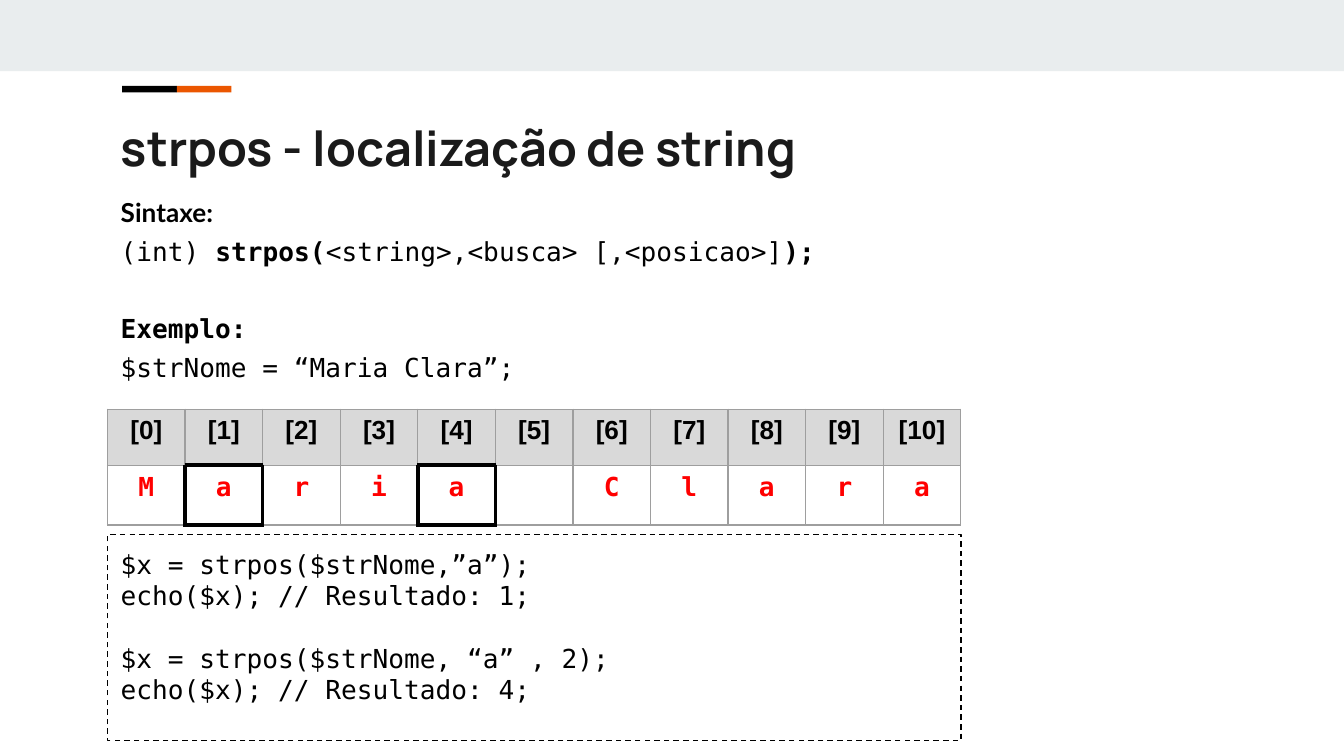
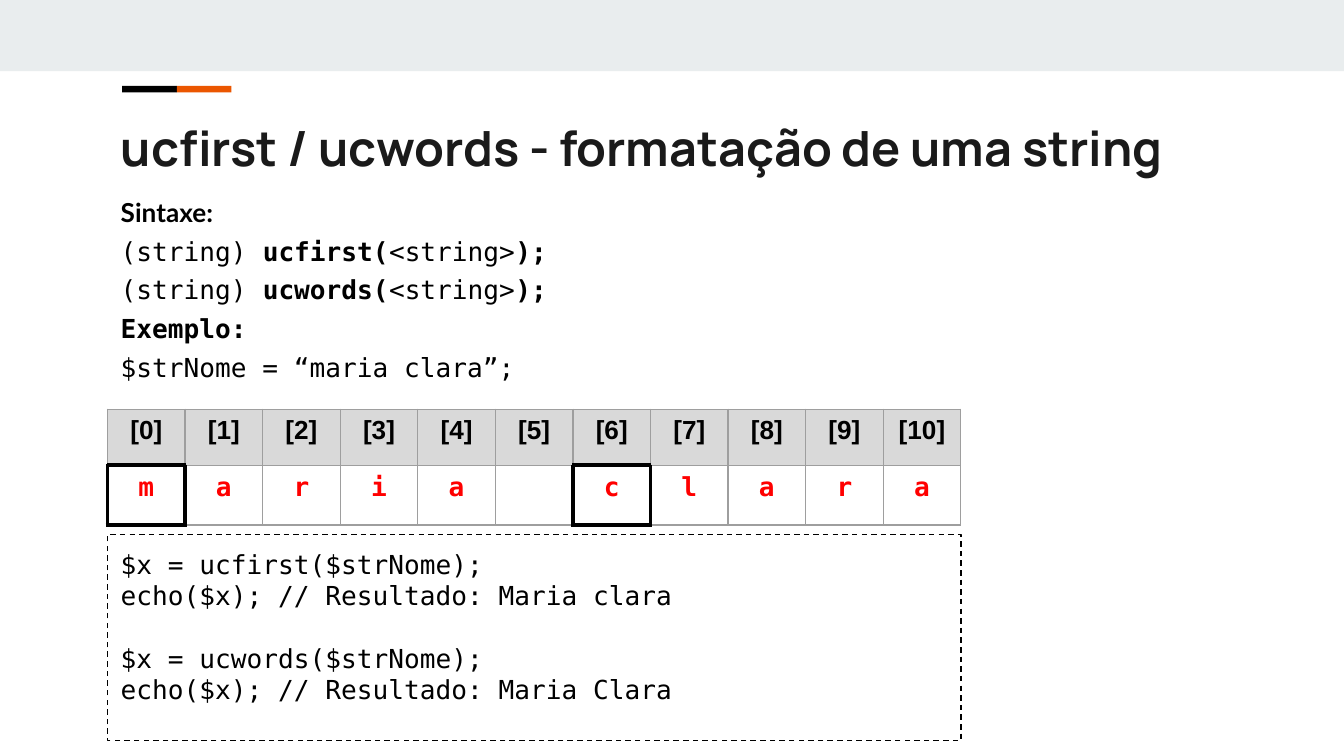
from lxml import etree
from pptx import Presentation
from pptx import util as u
from pptx.dml.color import RGBColor
from pptx.enum import dml, shapes, text
from pptx.oxml.ns import qn

Pt = u.Pt
HEAD, BODY, CODE, LABEL = "Manrope", "Lato", "DejaVu Sans Mono", "Arial"
BLACK, INK, ORANGE, BAND = "000000", "1A1A1A", "EB5600", "E9EDEE"
GREY, HEADER, RED = "9E9E9E", "D9D9D9", "FF0000"
LEFT, TEXT_W, TABLE_W = 57.6, 605.5, 457.2
SIZE, LINE, GAP = 14, 16.7, 4


def color(value):
    return RGBColor.from_string(value)


class Deck:
    def __init__(self):
        self.prs = Presentation()
        self.prs.slide_width, self.prs.slide_height = Pt(720), Pt(405)
        self.s = None

    def new_slide(self, title):
        self.s = self.prs.slides.add_slide(self.prs.slide_layouts[5])
        self.rect(0, 0, 720, 38.2, BAND)
        self.rect(65.4, 46, 29.4, 3.5, BLACK)
        self.rect(94.8, 46, 29.2, 3.5, ORANGE)
        sp = self.s.shapes.title
        sp.left, sp.top, sp.width, sp.height = Pt(LEFT), Pt(56.2), Pt(TEXT_W), Pt(42.5)
        p = self.frame(sp).paragraphs[0]
        p.alignment = text.PP_ALIGN.LEFT
        self.run(p, title, HEAD, 26, INK, True)

    def rect(self, x, y, w, h, fill=None):
        sp = self.s.shapes.add_shape(
            shapes.MSO_SHAPE.RECTANGLE, Pt(x), Pt(y), Pt(w), Pt(h))
        sp.shadow.inherit = False
        if fill:
            sp.fill.solid()
            sp.fill.fore_color.rgb = color(fill)
        else:
            sp.fill.background()
        sp.line.fill.background()
        return sp

    def frame(self, sp):
        tf = sp.text_frame
        tf.word_wrap = True
        tf.auto_size = text.MSO_AUTO_SIZE.NONE
        tf.vertical_anchor = text.MSO_ANCHOR.TOP
        tf.margin_left = tf.margin_right = tf.margin_top = tf.margin_bottom = Pt(7.2)
        return tf

    def run(self, p, words, font=CODE, size=SIZE, ink=BLACK, bold=False):
        r = p.add_run()
        r.text = words
        r.font.name, r.font.size, r.font.bold = font, Pt(size), bold
        r.font.color.rgb = color(ink)

    def paragraphs(self, tf, lines, gap=0):
        """Each line is a list of (words, bold, font); an empty line widens the next gap."""
        before = 0
        for i, line in enumerate(lines):
            if not line:
                before += LINE + gap
                continue
            p = tf.add_paragraph() if i else tf.paragraphs[0]
            p.alignment = text.PP_ALIGN.LEFT
            p.space_before = Pt(before)
            for words, bold, font in line:
                self.run(p, words, font, bold=bold)
            before = gap

    def syntax(self, signatures, example):
        """Signatures are tuples of runs, alternately regular and bold."""
        sp = self.s.shapes.add_textbox(Pt(LEFT), Pt(97.9), Pt(TEXT_W), Pt(110.2))
        lines = [[("Sintaxe:", True, BODY)]]
        for parts in signatures:
            lines.append([(part, i % 2 == 1, CODE) for i, part in enumerate(parts)])
        lines += [[("Exemplo:", True, CODE)], [(example, False, CODE)]]
        self.paragraphs(self.frame(sp), lines, GAP)

    def letters(self, word, boxed):
        """Index row above a letter row, with a thick frame on the boxed positions."""
        n = len(word)
        tbl = self.s.shapes.add_table(
            2, n, Pt(LEFT), Pt(219.3), Pt(TABLE_W), Pt(62)).table
        tbl.first_row = tbl.horz_banding = False
        tbl.rows[0].height, tbl.rows[1].height = Pt(30), Pt(32)
        for col, letter in enumerate(word):
            tbl.columns[col].width = Pt(TABLE_W / n)
            index, cell = tbl.cell(0, col), tbl.cell(1, col)
            index.fill.solid()
            index.fill.fore_color.rgb = color(HEADER)
            cell.fill.background()
            self.cell_text(index, f"[{col}]", LABEL, BLACK)
            self.cell_text(cell, letter.strip(), CODE, RED)
            here = col in boxed
            self.borders(index, B=here)
            self.borders(cell, L=here or col - 1 in boxed,
                         R=here or col + 1 in boxed, T=here, B=here)

    def cell_text(self, cell, words, font, ink):
        p = cell.text_frame.paragraphs[0]
        p.alignment = text.PP_ALIGN.CENTER
        if words:
            self.run(p, words, font, ink=ink, bold=True)
        else:
            p.font.size = Pt(SIZE)

    def borders(self, cell, **thick):
        pr = cell._tc.get_or_add_tcPr()
        for i, side in enumerate("LRTB"):
            width, ink = (2.21, BLACK) if thick.get(side) else (0.75, GREY)
            ln = etree.Element(qn(f"a:ln{side}"), w=str(Pt(width)))
            fill = etree.SubElement(ln, qn("a:solidFill"))
            etree.SubElement(fill, qn("a:srgbClr"), val=ink)
            pr.insert(i, ln)

    def code(self, lines):
        sp = self.rect(LEFT, 286.4, TABLE_W, 110.4)
        sp.line.color.rgb = color(BLACK)
        sp.line.width = Pt(0.75)
        sp.line.dash_style = dml.MSO_LINE.DASH
        self.paragraphs(self.frame(sp),
                        [[(line, False, CODE)] if line else [] for line in lines])


def main():
    deck = Deck()

    deck.new_slide("strpos - localização de string")
    deck.syntax([("(int) ", "strpos(", "<string>,<busca> [,<posicao>]", ");"), ()],
                "$strNome = “Maria Clara”;")
    deck.letters("Maria Clara", boxed=(1, 4))
    deck.code(["$x = strpos($strNome,”a”);",
               "echo($x); // Resultado: 1;",
               "",
               "$x = strpos($strNome, “a” , 2);",
               "echo($x); // Resultado: 4;"])

    deck.new_slide("ucfirst / ucwords - formatação de uma string")
    deck.syntax([("(string) ", f"{name}(", "<string>", ");")
                 for name in ("ucfirst", "ucwords")],
                "$strNome = “maria clara”;")
    deck.letters("maria clara", boxed=(0, 6))
    deck.code(["$x = ucfirst($strNome);",
               "echo($x); // Resultado: Maria clara",
               "",
               "$x = ucwords($strNome);",
               "echo($x); // Resultado: Maria Clara"])

    deck.prs.save("out.pptx")


if __name__ == "__main__":
    main()
